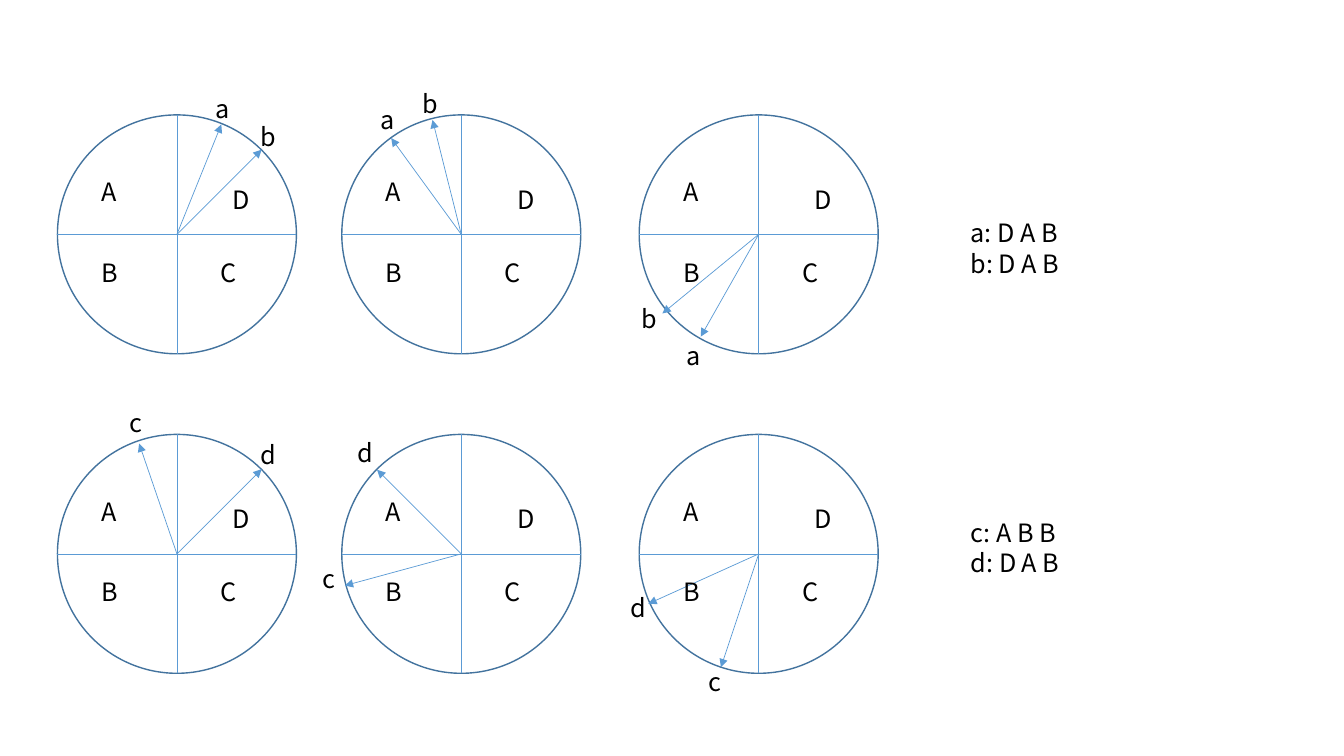
from lxml.etree import SubElement
from pptx import Presentation
from pptx.dml.color import RGBColor
from pptx.enum.shapes import MSO_CONNECTOR, MSO_SHAPE
from pptx.enum.text import MSO_AUTO_SIZE
from pptx.oxml.ns import qn
from pptx.util import Inches, Pt

COLORS = {"rim": "43739E", "spoke": "5B9BD5", "text": "000000"}
FONT = "Noto Sans CJK KR"

# All places are counted in square grid cells, ten to the inch.
CELL = Inches(0.1)
RADIUS = 11.85
WHEEL_COLUMNS = (17.55, 45.75, 75.25)
WHEEL_ROWS = (23.25, 54.95)
SUMMARY_COLUMN = 95.3
LETTER_HEIGHT = 4
LETTER_WIDTHS = {"A": 3.7, "B": 3.5, "C": 3.6, "D": 3.8,
                 "a": 3.3, "b": 3.5, "c": 3.2, "d": 3.5}

# Top left corner of each sector letter, from the wheel's centre.
SECTORS = {"A": (-8.45, -6.2), "B": (-8.45, 1.75),
           "C": (3.35, 1.75), "D": (4.55, -5.5)}

# For each wheel: hand -> (tip, top left corner of its letter), from the centre.
HANDS = (
    (
        {"a": ((4.4, -10.9), (2.85, -14.45)), "b": ((8.4, -8.4), (7.35, -11.75))},
        {"a": ((-6.95, -9.55), (-8.95, -13.35)), "b": ((-2.85, -11.35), (-4.85, -14.95))},
        {"a": ((-5.75, 10.15), (-8.15, 10.05)), "b": ((-9.55, 7.85), (-12.65, 6.35))},
    ),
    (
        {"c": ((-3.75, -10.95), (-5.65, -15.05)), "d": ((8.4, -8.4), (7.35, -11.85))},
        {"c": ((-11.55, 3.15), (-14.75, 0.45)), "d": ((-8.35, -8.35), (-11.25, -12.05))},
        {"c": ((-3.75, 11.25), (-5.95, 10.65)), "d": ((-10.95, 4.95), (-13.75, 3.35))},
    ),
)
SUMMARIES = ((21.1, "a: D A B\nb: D A B"), (50.8, "c: A B B\nd: D A B"))


def cells(*counts):
    """Turn grid counts into slide lengths."""
    return [round(count * CELL) for count in counts]


def shift(centre, offset):
    """Move a grid point by an offset."""
    return centre[0] + offset[0], centre[1] + offset[1]


def add_label(slide, corner, width, height, text):
    """Write unwrapped text in a box at a grid point."""
    label = slide.shapes.add_textbox(*cells(*corner, width, height))
    frame = label.text_frame
    frame.text = text
    frame.word_wrap = False
    frame.auto_size = MSO_AUTO_SIZE.SHAPE_TO_FIT_TEXT
    for paragraph in frame.paragraphs:
        for run in paragraph.runs:
            run.font.name = FONT
            run.font.size = Pt(18)
            run.font.color.rgb = RGBColor.from_string(COLORS["text"])


def add_letter(slide, corner, letter):
    """Write one sector or hand letter."""
    add_label(slide, corner, LETTER_WIDTHS[letter], LETTER_HEIGHT, letter)


def add_spoke(slide, start, end, arrow=False):
    """Draw a thin line between grid points, with an arrowhead if asked."""
    spoke = slide.shapes.add_connector(MSO_CONNECTOR.STRAIGHT, *cells(*start, *end))
    spoke.line.color.rgb = RGBColor.from_string(COLORS["spoke"])
    spoke.line.width = Pt(0.5)
    properties = spoke.element.spPr
    if arrow:
        SubElement(properties.find(qn("a:ln")), qn("a:tailEnd"), type="triangle")
    SubElement(properties, qn("a:effectLst"))


def add_wheel(slide, centre, hands):
    """Draw a wheel of four lettered sectors and its labelled hands."""
    corner = shift(centre, (-RADIUS, -RADIUS))
    rim = slide.shapes.add_shape(
        MSO_SHAPE.OVAL, *cells(*corner, 2 * RADIUS, 2 * RADIUS))
    rim.shadow.inherit = False
    rim.fill.background()
    rim.line.color.rgb = RGBColor.from_string(COLORS["rim"])
    rim.line.width = Pt(1)

    for tip, _ in hands.values():
        add_spoke(slide, centre, shift(centre, tip), arrow=True)
    for x, y in ((0, RADIUS), (RADIUS, 0)):
        add_spoke(slide, shift(centre, (-x, -y)), shift(centre, (x, y)))
    for letter, offset in SECTORS.items():
        add_letter(slide, shift(centre, offset), letter)
    for letter, (_, offset) in hands.items():
        add_letter(slide, shift(centre, offset), letter)


def main():
    """Build the slide of wheels and save it."""
    deck = Presentation()
    deck.slide_width, deck.slide_height = Inches(13.33), Inches(7.5)
    slide = deck.slides.add_slide(deck.slide_layouts[6])

    for row, wheels in zip(WHEEL_ROWS, HANDS):
        for column, hands in zip(WHEEL_COLUMNS, wheels):
            add_wheel(slide, (column, row), hands)
    for row, summary in SUMMARIES:
        add_label(slide, (SUMMARY_COLUMN, row), 11.7, 7.1, summary)

    deck.save("out.pptx")


main()
